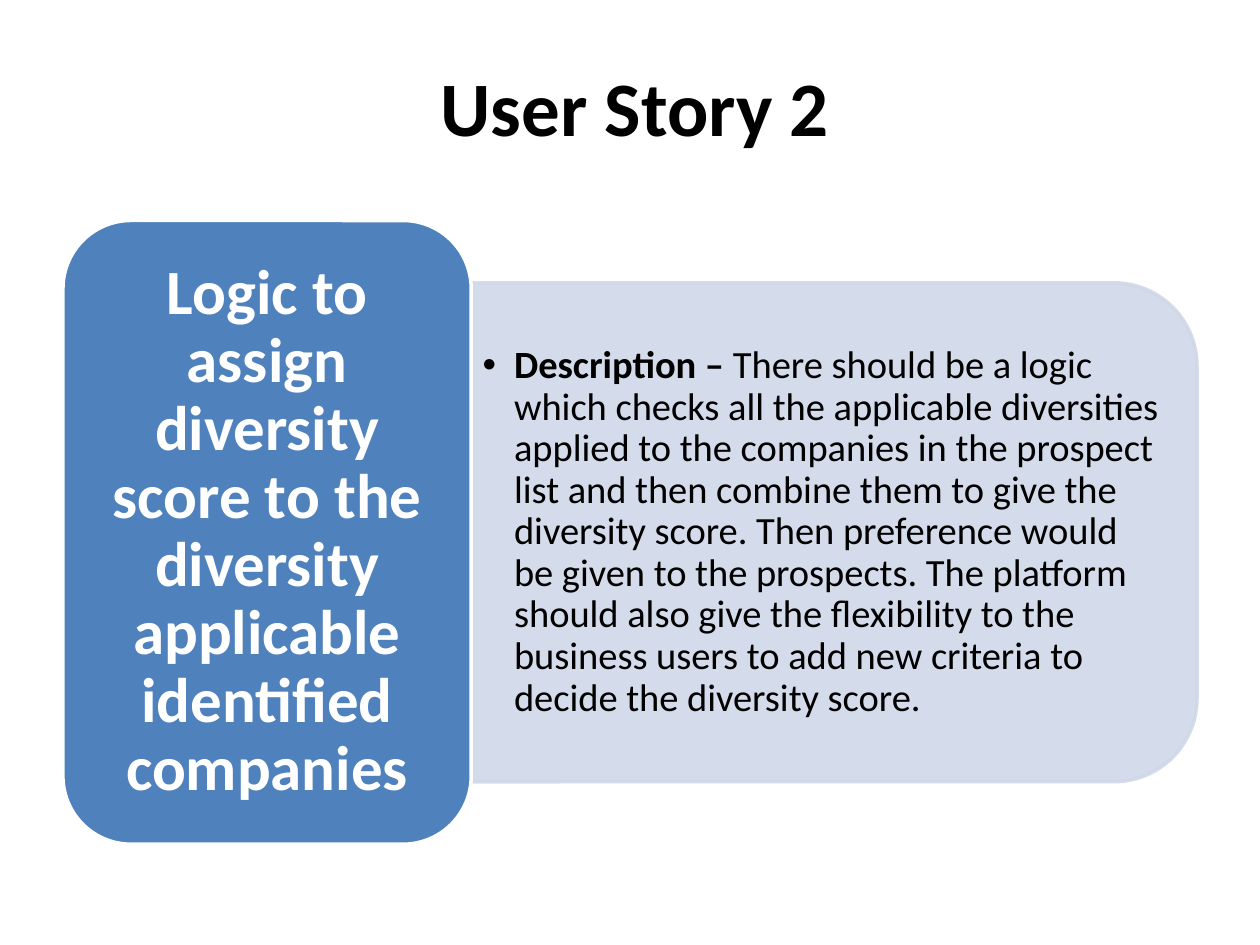
from dataclasses import dataclass
from typing import Optional

from lxml import etree
from pptx import Presentation
from pptx.dml.color import RGBColor
from pptx.enum.shapes import MSO_SHAPE
from pptx.enum.text import MSO_ANCHOR, PP_ALIGN
from pptx.oxml.ns import qn
from pptx.util import Inches, Pt


@dataclass(frozen=True)
class Theme:
    font: str = "Calibri"
    black: str = "000000"
    white: str = "FFFFFF"
    blue: str = "4F81BD"
    pale: str = "D0D8E8"
    title_size: int = 44
    story_size: int = 36
    body_size: int = 22
    outline: int = 2


@dataclass(frozen=True)
class Box:
    left: float
    top: float
    width: float
    height: float

    def inches(self) -> tuple:
        return tuple(Inches(v) for v in (self.left, self.top, self.width, self.height))

    def inset(self, gap: float) -> "Box":
        return Box(self.left + gap, self.top + gap, self.width - 2 * gap, self.height - 2 * gap)

    def turned(self) -> "Box":
        """Frame that covers this box after a quarter turn."""
        shift = (self.width - self.height) / 2
        return Box(self.left + shift, self.top - shift, self.height, self.width)


@dataclass(frozen=True)
class Panel:
    kind: MSO_SHAPE
    frame: Box
    fill: str
    line: str
    rotation: int = 0
    alpha: Optional[int] = None


@dataclass(frozen=True)
class Run:
    text: str
    bold: bool = True


@dataclass(frozen=True)
class Label:
    frame: Box
    runs: tuple
    size: int
    color: str
    margins: tuple = (0.1, 0.05)
    spacing: float = 1.0
    bullet: bool = False


THEME = Theme()


def draw_panel(slide, panel: Panel) -> None:
    shape = slide.shapes.add_shape(panel.kind, *panel.frame.inches())
    shape.rotation = panel.rotation
    shape.shadow.inherit = False
    shape.fill.solid()
    shape.fill.fore_color.rgb = RGBColor.from_string(panel.fill)
    shape.line.color.rgb = RGBColor.from_string(panel.line)
    shape.line.width = Pt(THEME.outline)
    if panel.alpha is not None:
        for color in shape._element.spPr.iter(qn("a:srgbClr")):
            etree.SubElement(color, qn("a:alpha"), val=str(panel.alpha * 1000))


def add_bullet(paragraph, indent: float) -> None:
    props = paragraph._p.get_or_add_pPr()
    props.set("marL", str(Inches(indent)))
    props.set("indent", str(-Inches(indent)))
    etree.SubElement(props, qn("a:buFont"), typeface="Arial")
    etree.SubElement(props, qn("a:buChar"), char="•")


def draw_label(slide, label: Label) -> None:
    frame = slide.shapes.add_textbox(*label.frame.inches()).text_frame
    frame.word_wrap = True
    frame.vertical_anchor = MSO_ANCHOR.MIDDLE
    side, end = (Inches(m) for m in label.margins)
    frame.margin_left = frame.margin_right = side
    frame.margin_top = frame.margin_bottom = end
    paragraph = frame.paragraphs[0]
    paragraph.alignment = PP_ALIGN.LEFT if label.bullet else PP_ALIGN.CENTER
    paragraph.line_spacing = label.spacing
    if label.bullet:
        add_bullet(paragraph, 0.25)
    for part in label.runs:
        run = paragraph.add_run()
        run.text = part.text
        run.font.name = THEME.font
        run.font.size = Pt(label.size)
        run.font.bold = part.bold
        run.font.color.rgb = RGBColor.from_string(label.color)


# Slide
prs = Presentation()
prs.slide_width, prs.slide_height = Inches(10), Inches(7.5)
slide = prs.slides.add_slide(prs.slide_layouts[6])

# Layout: the description panel is 80% of the story card's height, centred on it
story = Box(0.5, 1.75, 3.24, 4.95)
detail_height = 0.8 * story.height
detail = Box(story.left + story.width, story.top + (story.height - detail_height) / 2,
             5.76, detail_height)
detail_text = Box(detail.left, detail.top + 0.19, detail.width - 0.19, detail.height - 0.38)

# Title
draw_label(slide, Label(Box(3.03, 0.21, 4.02, 1.25), (Run("User Story 2"),),
                        THEME.title_size, THEME.black))

# Description
draw_panel(slide, Panel(MSO_SHAPE.ROUND_2_SAME_RECTANGLE, detail.turned(),
                        THEME.pale, THEME.pale, rotation=90, alpha=90))
draw_label(slide, Label(
    detail_text,
    (Run("Description – "),
     Run("There should be a logic which checks all the applicable diversities applied to "
         "the companies in the prospect list and then combine them to give the diversity "
         "score. Then preference would be given to the prospects. The platform should also "
         "give the flexibility to the business users to add new criteria to decide the "
         "diversity score.", bold=False)),
    THEME.body_size, THEME.black, margins=(0.09, 0.05), spacing=0.9, bullet=True))

# Story card
draw_panel(slide, Panel(MSO_SHAPE.ROUNDED_RECTANGLE, story, THEME.blue, THEME.white))
draw_label(slide, Label(
    story.inset(0.16),
    (Run("Logic to assign diversity score to the diversity applicable identified companies"),),
    THEME.story_size, THEME.white, margins=(0.15, 0.07), spacing=0.9))

prs.save("out.pptx")
